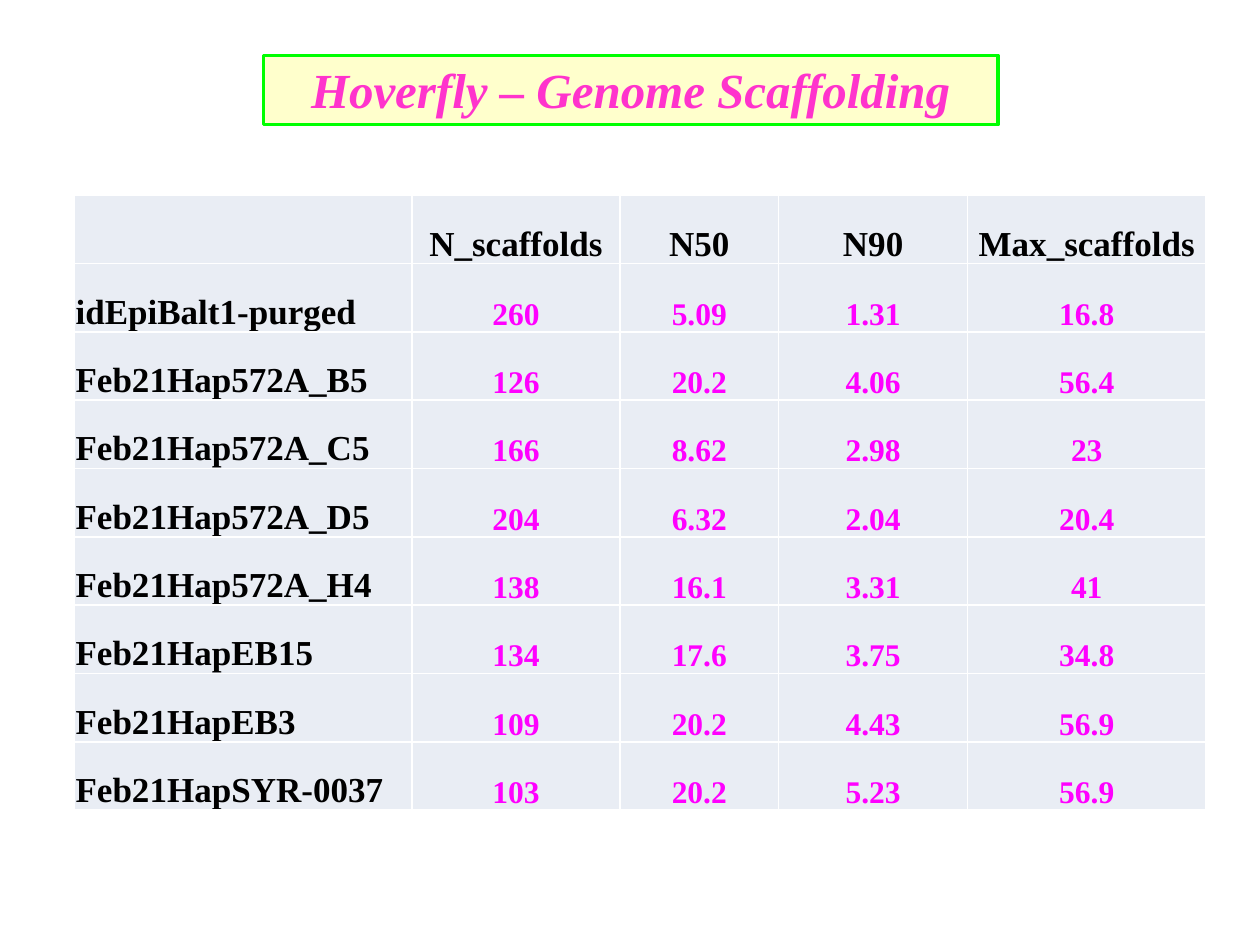
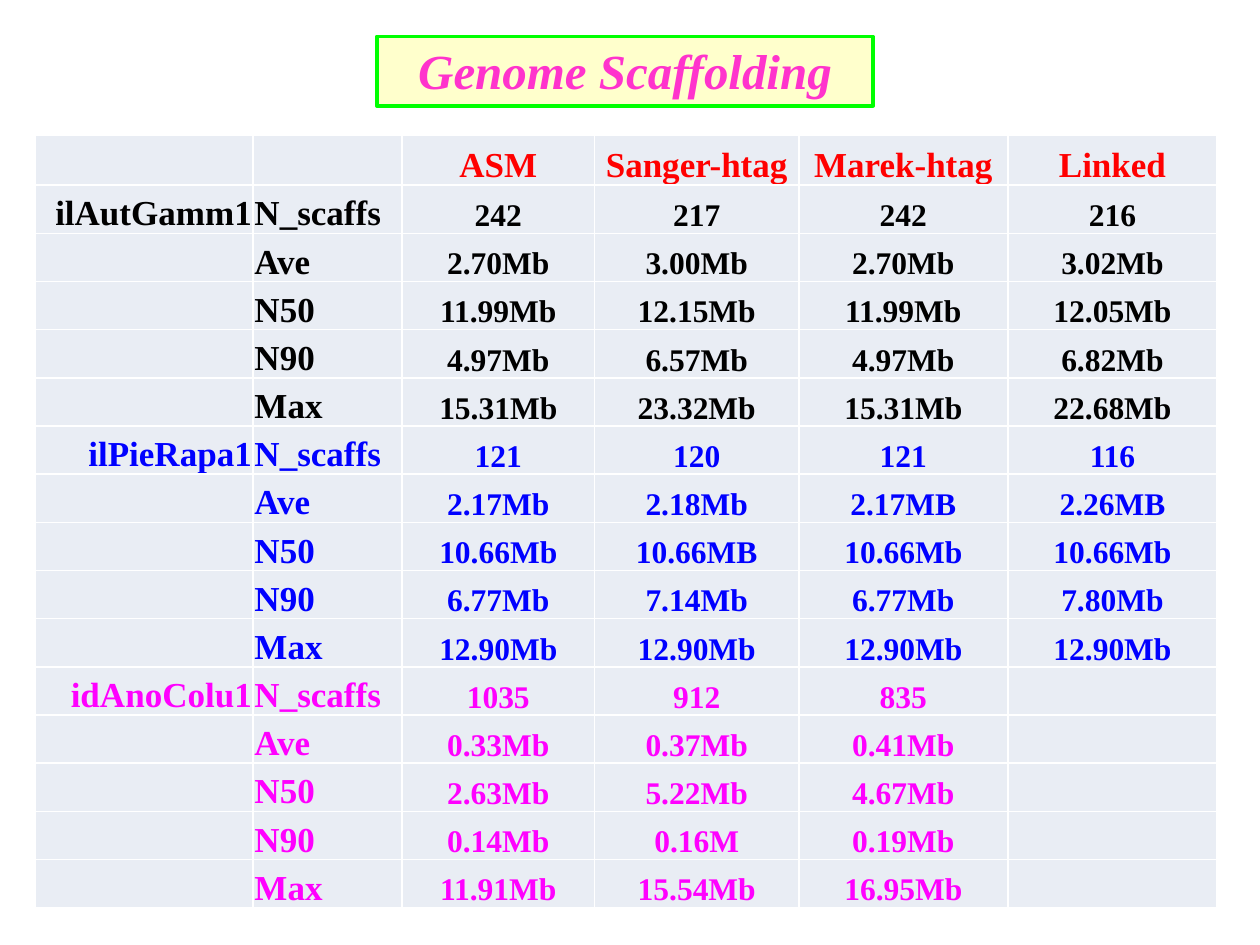
import dataclasses

import pptx
import pptx.dml.color
import pptx.enum.text
import pptx.util

Inches = pptx.util.Inches
Pt = pptx.util.Pt
RGBColor = pptx.dml.color.RGBColor
ALIGN = pptx.enum.text.PP_ALIGN
ANCHOR = pptx.enum.text.MSO_ANCHOR


@dataclasses.dataclass(frozen=True)
class Theme:
    font: str = "Times New Roman"
    title_size: int = 28
    label_size: int = 20
    value_size: int = 18
    title_text: str = "FF33CC"
    title_fill: str = "FFFFCC"
    title_line: str = "00FF00"
    cell_fill: str = "E9EDF4"
    black: str = "000000"
    red: str = "FF0000"
    blue: str = "0000FF"
    magenta: str = "FF00FF"


THEME = Theme()

HOVERFLY_HEADER = ["", "N_scaffolds", "N50", "N90", "Max_scaffolds"]
HOVERFLY_ROWS = [
    ["idEpiBalt1-purged", "260", "5.09", "1.31", "16.8"],
    ["Feb21Hap572A_B5", "126", "20.2", "4.06", "56.4"],
    ["Feb21Hap572A_C5", "166", "8.62", "2.98", "23"],
    ["Feb21Hap572A_D5", "204", "6.32", "2.04", "20.4"],
    ["Feb21Hap572A_H4", "138", "16.1", "3.31", "41"],
    ["Feb21HapEB15", "134", "17.6", "3.75", "34.8"],
    ["Feb21HapEB3", "109", "20.2", "4.43", "56.9"],
    ["Feb21HapSYR-0037", "103", "20.2", "5.23", "56.9"],
]

METHOD_HEADER = ["", "", "ASM", "Sanger-htag", "Marek-htag", "Linked"]
MEASURES = ["N_scaffs", "Ave", "N50", "N90", "Max"]
GENOMES = [
    ("ilAutGamm1", THEME.black, [
        ["242", "217", "242", "216"],
        ["2.70Mb", "3.00Mb", "2.70Mb", "3.02Mb"],
        ["11.99Mb", "12.15Mb", "11.99Mb", "12.05Mb"],
        ["4.97Mb", "6.57Mb", "4.97Mb", "6.82Mb"],
        ["15.31Mb", "23.32Mb", "15.31Mb", "22.68Mb"],
    ]),
    ("ilPieRapa1", THEME.blue, [
        ["121", "120", "121", "116"],
        ["2.17Mb", "2.18Mb", "2.17MB", "2.26MB"],
        ["10.66Mb", "10.66MB", "10.66Mb", "10.66Mb"],
        ["6.77Mb", "7.14Mb", "6.77Mb", "7.80Mb"],
        ["12.90Mb", "12.90Mb", "12.90Mb", "12.90Mb"],
    ]),
    ("idAnoColu1", THEME.magenta, [
        ["1035", "912", "835", ""],
        ["0.33Mb", "0.37Mb", "0.41Mb", ""],
        ["2.63Mb", "5.22Mb", "4.67Mb", ""],
        ["0.14Mb", "0.16M", "0.19Mb", ""],
        ["11.91Mb", "15.54Mb", "16.95Mb", ""],
    ]),
]


def set_attributes(target, values):
    for name, value in values.items():
        setattr(target, name, value)


def write_text(text_frame, text, size, color, align, italic=False):
    paragraph = text_frame.paragraphs[0]
    paragraph.alignment = align
    run = paragraph.add_run()
    run.text = text
    set_attributes(run.font, {"name": THEME.font, "size": Pt(size),
                              "bold": True, "italic": italic})
    run.font.color.rgb = RGBColor.from_string(color)


def add_titled_slide(presentation, text, left, top, width):
    slide = presentation.slides.add_slide(presentation.slide_layouts[5])
    title = slide.shapes.title
    set_attributes(title, {"left": Inches(left), "top": Inches(top),
                           "width": Inches(width), "height": Inches(0.55)})
    title.fill.solid()
    title.fill.fore_color.rgb = RGBColor.from_string(THEME.title_fill)
    title.line.color.rgb = RGBColor.from_string(THEME.title_line)
    title.line.width = Pt(2)
    set_attributes(title.text_frame, {
        "word_wrap": True,
        "auto_size": pptx.enum.text.MSO_AUTO_SIZE.NONE,
        "vertical_anchor": ANCHOR.BOTTOM,
    })
    write_text(title.text_frame, text, THEME.title_size, THEME.title_text,
               ALIGN.CENTER, italic=True)
    return slide


def add_plain_table(slide, left, top, column_widths, header_height,
                    row_height, row_count):
    """Add a table whose style gives only the white grid lines."""
    height = header_height + row_height * (row_count - 1)
    frame = slide.shapes.add_table(
        row_count, len(column_widths), Inches(left), Inches(top),
        Inches(sum(column_widths)), Inches(height))
    table = frame.table
    set_attributes(table, {"first_row": False, "horz_banding": False})
    for column, width in zip(table.columns, column_widths):
        column.width = Inches(width)
    for row in table.rows:
        row.height = Inches(row_height)
    table.rows[0].height = Inches(header_height)
    for cell in table.iter_cells():
        set_attributes(cell, {
            "margin_left": Inches(0.01), "margin_top": Inches(0.01),
            "margin_right": Inches(0.01), "margin_bottom": 0,
            "vertical_anchor": ANCHOR.BOTTOM,
        })
        cell.fill.solid()
        cell.fill.fore_color.rgb = RGBColor.from_string(THEME.cell_fill)
    return table


def fill_row(table, row_index, texts, label_aligns, label_color, value_color,
             value_size=THEME.value_size):
    """Write one row; its first len(label_aligns) cells are labels."""
    for column_index, text in enumerate(texts):
        if not text:
            continue
        text_frame = table.cell(row_index, column_index).text_frame
        if column_index < len(label_aligns):
            write_text(text_frame, text, THEME.label_size, label_color,
                       label_aligns[column_index])
        else:
            write_text(text_frame, text, value_size, value_color, ALIGN.CENTER)


def fill_header(table, texts, color):
    fill_row(table, 0, texts, [], color, color, THEME.label_size)


def add_hoverfly_slide(presentation):
    slide = add_titled_slide(presentation, "Hoverfly – Genome Scaffolding",
                             2.09, 0.44, 5.83)
    table = add_plain_table(slide, 0.59, 1.55, [2.68, 1.65, 1.26, 1.5, 1.89],
                            4.88 / 9, 4.88 / 9, len(HOVERFLY_ROWS) + 1)
    fill_header(table, HOVERFLY_HEADER, THEME.black)
    for row_index, texts in enumerate(HOVERFLY_ROWS, start=1):
        fill_row(table, row_index, texts, [ALIGN.LEFT], THEME.black,
                 THEME.magenta)


def add_methods_slide(presentation):
    slide = add_titled_slide(presentation, "Genome Scaffolding",
                             2.99, 0.29, 3.94)
    row_count = len(GENOMES) * len(MEASURES) + 1
    table = add_plain_table(slide, 0.28, 1.07,
                            [1.73, 1.18, 1.53, 1.62, 1.66, 1.66],
                            0.4, 5.74 / (row_count - 1), row_count)
    fill_header(table, METHOD_HEADER, THEME.red)
    for genome_index, (genome, color, results) in enumerate(GENOMES):
        for measure_index, values in enumerate(results):
            label = genome if measure_index == 0 else ""
            row_index = 1 + genome_index * len(MEASURES) + measure_index
            fill_row(table, row_index,
                     [label, MEASURES[measure_index], *values],
                     [ALIGN.RIGHT, ALIGN.LEFT], color, color)


def main():
    presentation = pptx.Presentation()
    set_attributes(presentation, {"slide_width": Inches(10),
                                  "slide_height": Inches(7.5)})
    add_hoverfly_slide(presentation)
    add_methods_slide(presentation)
    presentation.save("out.pptx")


if __name__ == "__main__":
    main()
